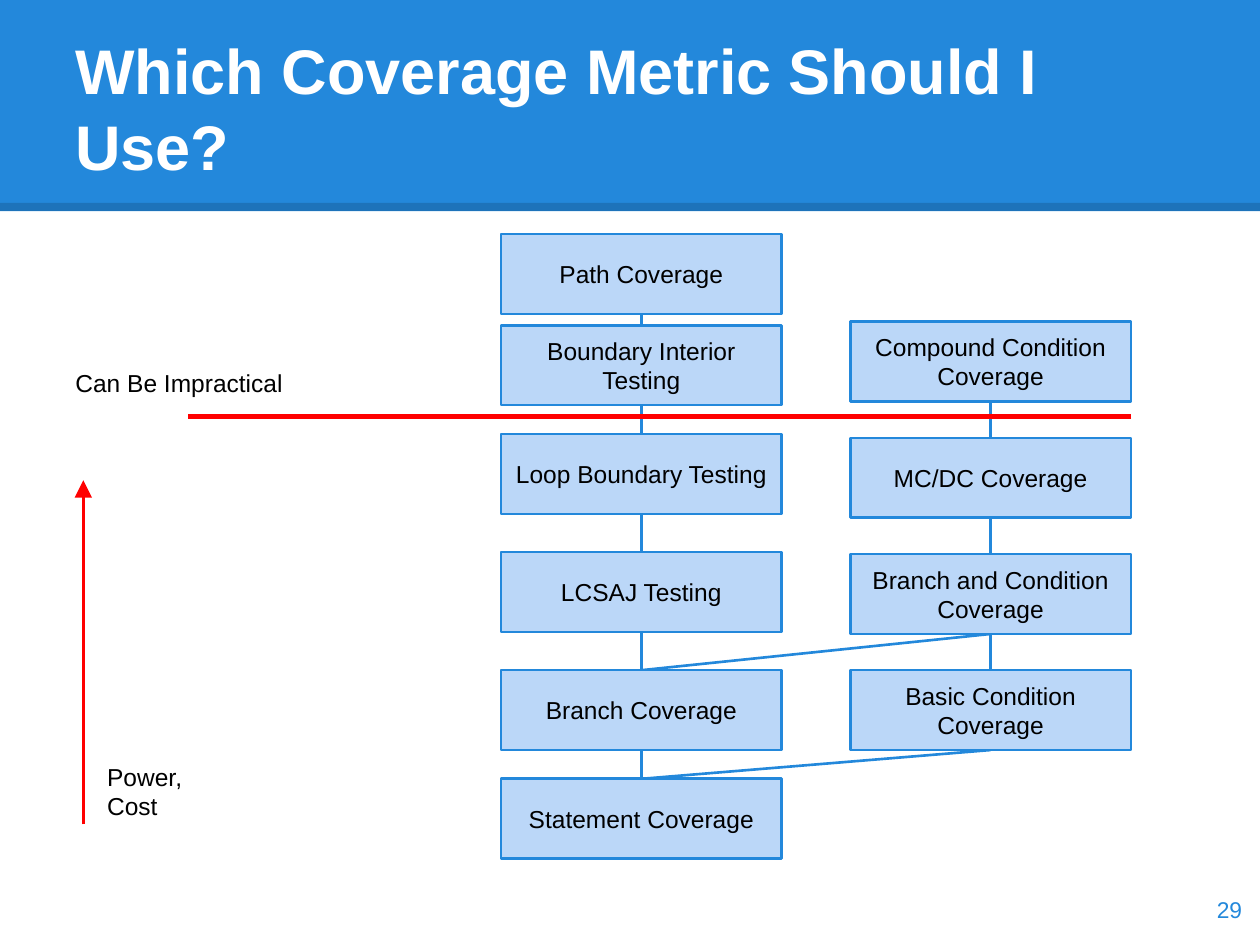
from lxml import etree
from pptx import Presentation
from pptx.dml.color import RGBColor
from pptx.enum import shapes, text
from pptx.oxml.ns import qn
from pptx.util import Cm, Pt

BLUE, PALE, RED, BLACK, WHITE = "2388DB", "BBD7F8", "FF0000", "000000", "FFFFFF"
WIDE, HIGH = 25.4, 19.05
BOX_W, BOX_H = 5.66, 1.61

TITLE = "Which Coverage Metric Should I Use?"
# Each column: left edge, then boxes from top to bottom (top edge, label)
COLUMNS = [
    (10.1, [
        (4.72, "Path Coverage"),
        (6.56, "Boundary Interior Testing"),
        (8.75, "Loop Boundary Testing"),
        (11.13, "LCSAJ Testing"),
        (13.51, "Branch Coverage"),
        (15.7, "Statement Coverage"),
    ]),
    (17.14, [
        (6.48, "Compound Condition Coverage"),
        (8.83, "MC/DC Coverage"),
        (11.17, "Branch and Condition Coverage"),
        (13.51, "Basic Condition Coverage"),
    ]),
]
# Links across columns: row on the right, row on the left
CROSS = [(2, 4), (3, 5)]
# Label, place and size, colour, point size, alignment, anchor
NOTES = [
    ("Power, Cost", (1.91, 15.11, 2.95, 1.04), BLACK, 14,
     text.PP_ALIGN.LEFT, text.MSO_ANCHOR.TOP),
    ("Can Be Impractical", (1.27, 7.16, 6.53, 0.76), BLACK, 14,
     text.PP_ALIGN.LEFT, text.MSO_ANCHOR.TOP),
    ("29", (23.77, 17.6, 1.52, 1.45), BLUE, 13,
     text.PP_ALIGN.RIGHT, text.MSO_ANCHOR.MIDDLE),
]


def paint(color, code):
    color.rgb = RGBColor.from_string(code)


def write(shape, words, code, size, align, anchor, bold=False):
    frame = shape.text_frame
    frame.text = words
    frame.word_wrap = True
    frame.auto_size = text.MSO_AUTO_SIZE.NONE
    frame.vertical_anchor = anchor
    frame.margin_left = frame.margin_right = Cm(0.25)
    frame.margin_top = frame.margin_bottom = Cm(0.25)
    par = frame.paragraphs[0]
    par.alignment = align
    par.font.name, par.font.size, par.font.bold = "Arial", Pt(size), bold
    paint(par.font.color, code)


def add_rect(slide, area, fill):
    rect = slide.shapes.add_shape(
        shapes.MSO_SHAPE.RECTANGLE, *[Cm(n) for n in area])
    rect.shadow.inherit = False
    rect.fill.solid()
    paint(rect.fill.fore_color, fill)
    return rect


def add_line(slide, start, end, code=BLUE, width=1.5):
    line = slide.shapes.add_connector(
        shapes.MSO_CONNECTOR.STRAIGHT, *[Cm(n) for n in (*start, *end)])
    paint(line.line.color, code)
    line.line.width = Pt(width)
    etree.SubElement(line._element.spPr, qn("a:effectLst"))
    return line


def add_header(slide):
    band = add_rect(slide, (0, 0, WIDE, 4.26), BLUE)
    band.line.fill.background()
    edge = add_line(slide, (0, 4.17), (WIDE, 4.17), BLACK, 4.5)
    tint = edge._element.spPr.find(".//" + qn("a:srgbClr"))
    etree.SubElement(tint, qn("a:alpha"), val="15000")
    title = slide.shapes.title
    slide.shapes._spTree.append(title._element)  # bring in front of the band
    title.left, title.top, title.width, title.height = [
        Cm(n) for n in (1.27, 0.76, 23.34, 3.18)]
    write(title, TITLE, WHITE, 36, text.PP_ALIGN.LEFT,
          text.MSO_ANCHOR.BOTTOM, bold=True)


def add_chart_of_metrics(slide):
    mids = [left + BOX_W / 2 for left, _ in COLUMNS]
    tops = [[top for top, _ in boxes] for _, boxes in COLUMNS]
    for mid, rows in zip(mids, tops):
        for upper, lower in zip(rows, rows[1:]):
            add_line(slide, (mid, upper + BOX_H), (mid, lower))
    for right, left in CROSS:
        add_line(slide, (mids[1], tops[1][right] + BOX_H),
                 (mids[0], tops[0][left]))
    for left, boxes in COLUMNS:
        for top, label in boxes:
            box = add_rect(slide, (left, top, BOX_W, BOX_H), PALE)
            paint(box.line.color, BLUE)
            box.line.width = Pt(1.5)
            write(box, label, BLACK, 14, text.PP_ALIGN.CENTER,
                  text.MSO_ANCHOR.MIDDLE)


def main():
    deck = Presentation()
    deck.slide_width, deck.slide_height = Cm(WIDE), Cm(HIGH)
    slide = deck.slides.add_slide(deck.slide_layouts[5])
    add_header(slide)
    add_chart_of_metrics(slide)
    add_line(slide, (22.8, 8.4), (3.79, 8.4), RED, 3)
    arrow = add_line(slide, (1.68, 16.62), (1.68, 9.68), RED)
    etree.SubElement(arrow.line._get_or_add_ln(), qn("a:tailEnd"),
                     type="triangle", w="lg", len="lg")
    for words, area, *style in NOTES:
        note = slide.shapes.add_textbox(*[Cm(n) for n in area])
        write(note, words, *style)
    deck.save("out.pptx")


if __name__ == "__main__":
    main()
